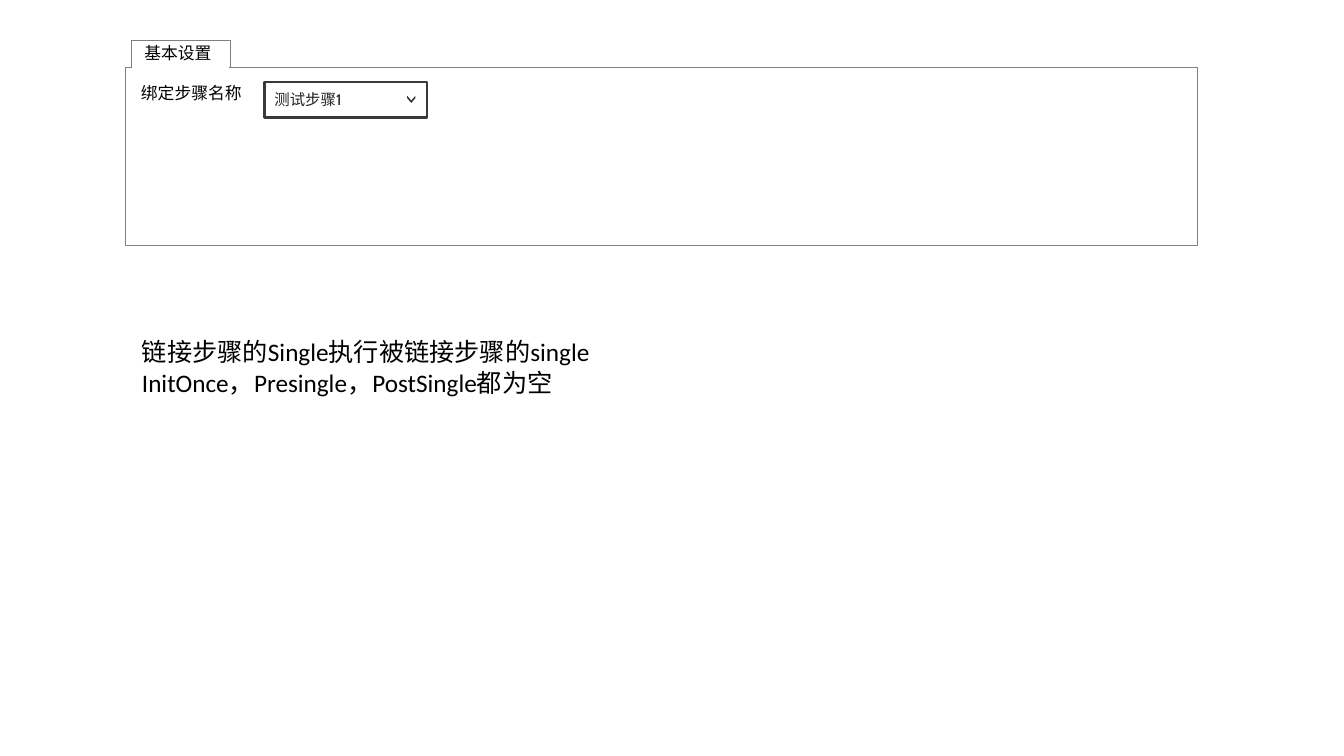
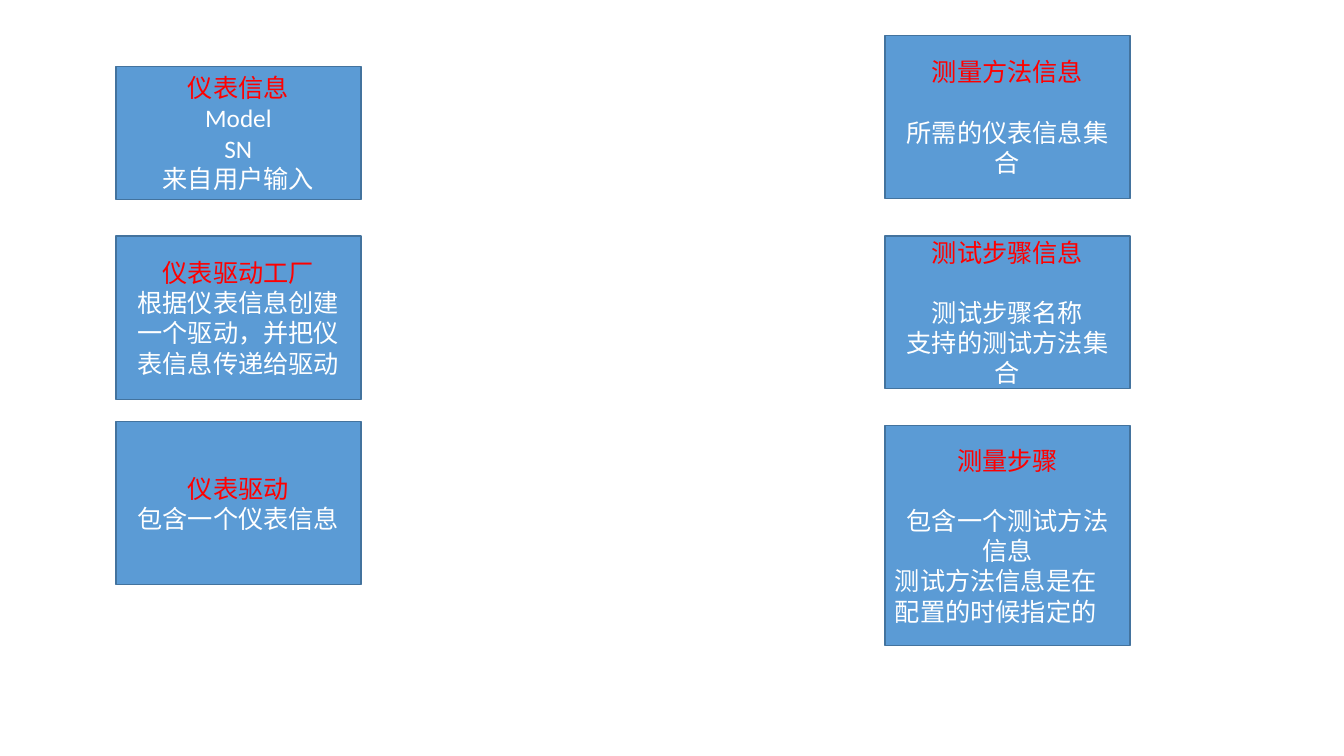
import pptx
import pptx.dml.color
import pptx.enum.shapes
import pptx.enum.text
import pptx.oxml.ns
import pptx.util
from lxml import etree

Pt = pptx.util.Pt
Align = pptx.enum.text.PP_ALIGN
Anchor = pptx.enum.text.MSO_ANCHOR


def color(hex_text):
    return pptx.dml.color.RGBColor.from_string(hex_text)


def write(frame, text, font="Calibri", size=18, ink="000000", align=Align.LEFT, after=0):
    """Add one paragraph, using the frame's first one while it is empty."""
    first = frame.paragraphs[0]
    para = frame.add_paragraph() if first.runs else first
    para.alignment = align
    para.space_after = Pt(after)
    span = para.add_run()
    span.text = text
    span.font.name = font
    span.font.size = Pt(size)
    span.font.color.rgb = color(ink)


class Painter:
    """Holds the shared style and the slide being drawn."""

    WHITE = "FFFFFF"
    FRAME_LINE = "808080"
    CARD_FILL = "5B9BD5"
    CARD_LINE = "43739E"
    HEADING = "FF0000"
    BLANK_LINE = 21.4
    CARD_WIDTH = 175
    INSETS = (7.2, 3.6, 7.2, 3.6)

    def __init__(self, deck):
        self.deck = deck
        self.slide = None

    def new_slide(self):
        self.slide = self.deck.slides.add_slide(self.deck.slide_layouts[6])

    def set_frame(self, box, insets, anchor):
        frame = box.text_frame
        frame.word_wrap = True
        frame.vertical_anchor = anchor
        (frame.margin_left, frame.margin_top,
         frame.margin_right, frame.margin_bottom) = map(Pt, insets)
        return frame

    def rectangle(self, left, top, width, height, fill=WHITE, line=FRAME_LINE,
                  weight=0.25, insets=INSETS, anchor=Anchor.MIDDLE):
        box = self.slide.shapes.add_shape(
            pptx.enum.shapes.MSO_SHAPE.RECTANGLE, Pt(left), Pt(top), Pt(width), Pt(height))
        box.shadow.inherit = False
        box.fill.solid()
        box.fill.fore_color.rgb = color(fill)
        box.line.color.rgb = color(line)
        box.line.width = Pt(weight)
        return self.set_frame(box, insets, anchor)

    def text_box(self, left, top, width, height, insets=INSETS, anchor=Anchor.TOP):
        box = self.slide.shapes.add_textbox(Pt(left), Pt(top), Pt(width), Pt(height))
        return self.set_frame(box, insets, anchor)

    def line(self, left, right, top, ink, weight):
        connector = self.slide.shapes.add_connector(
            pptx.enum.shapes.MSO_CONNECTOR.STRAIGHT, Pt(left), Pt(top), Pt(right), Pt(top))
        connector.line.color.rgb = color(ink)
        connector.line.width = Pt(weight)
        properties = connector.element.spPr
        etree.SubElement(properties, pptx.oxml.ns.qn("a:effectLst"))

    def chevron(self, center, top, half_width=3, depth=3.5, thickness=1.6, fill="2C2C2C"):
        """Draw a filled arrow head that points down."""
        left, right = center - half_width, center + half_width
        outline = [(right, top), (right, top + thickness),
                   (center, top + thickness + depth), (left, top + thickness),
                   (left, top), (center, top + depth)]
        points = [(Pt(x), Pt(y)) for x, y in outline]
        builder = self.slide.shapes.build_freeform(*points[0], scale=1.0)
        builder.add_line_segments(points[1:], close=True)
        shape = builder.convert_to_shape()
        shape.shadow.inherit = False
        shape.fill.solid()
        shape.fill.fore_color.rgb = color(fill)
        shape.line.fill.background()

    def card(self, left, top, height, heading, lines, gap=0, note=None):
        """Draw a blue box: red heading, centred lines, and a left-aligned note."""
        frame = self.rectangle(left, top, self.CARD_WIDTH, height,
                               self.CARD_FILL, self.CARD_LINE, 1)
        write(frame, heading, ink=self.HEADING, align=Align.CENTER, after=gap)
        for text in lines:
            write(frame, text, ink=self.WHITE, align=Align.CENTER)
        if note:
            write(frame, note, ink=self.WHITE)


def draw_settings(painter):
    painter.new_slide()
    painter.rectangle(89.3, 48.2, 766, 126.7)
    tab = painter.rectangle(93.6, 28.8, 70.6, 19.4, insets=(0, 1.4, 3.6, 3.6),
                            anchor=Anchor.TOP)
    write(tab, "基本设置", font="Roboto", size=12, align=Align.CENTER)
    painter.line(94.3, 163.5, 48.2, painter.WHITE, 1)

    label = painter.text_box(93.6, 57.6, 87, 18, insets=(7.2, 1.4, 0, 2.2),
                             anchor=Anchor.MIDDLE)
    write(label, "绑定步骤名称", font="Roboto", size=12)

    dropdown = painter.rectangle(188.9, 58.6, 116, 25.4, line="393939", weight=1.75)
    write(dropdown, "测试步骤1", font="Cabin", size=11, ink="232323")
    painter.chevron(293.8, 68.4)

    remarks = painter.text_box(94.3, 236.9, 337.7, 51)
    write(remarks, "链接步骤的Single执行被链接步骤的single")
    write(remarks, "InitOnce，Presingle，PostSingle都为空")


def draw_classes(painter):
    painter.new_slide()
    left, right = 82.8, 632.2
    middle_row = 168.6
    gap = painter.BLANK_LINE
    painter.card(left, 47.5, 95, "仪表信息", ["Model", "SN", "来自用户输入"])
    painter.card(left, middle_row, 116.7, "仪表驱动工厂",
                 ["根据仪表信息创建一个驱动，并把仪表信息传递给驱动"])
    painter.card(left, 301, 116.7, "仪表驱动", ["包含一个仪表信息"])
    painter.card(right, 25.3, 116.7, "测量方法信息", ["所需的仪表信息集合"], gap)
    painter.card(right, middle_row, 109, "测试步骤信息",
                 ["测试步骤名称", "支持的测试方法集合"], gap)
    painter.card(right, 304, 157, "测量步骤", ["包含一个测试方法信息"], gap,
                 note="测试方法信息是在配置的时候指定的")


def main():
    deck = pptx.Presentation()
    deck.slide_width, deck.slide_height = Pt(960), Pt(540)
    painter = Painter(deck)
    draw_settings(painter)
    draw_classes(painter)
    deck.save("out.pptx")


if __name__ == "__main__":
    main()
